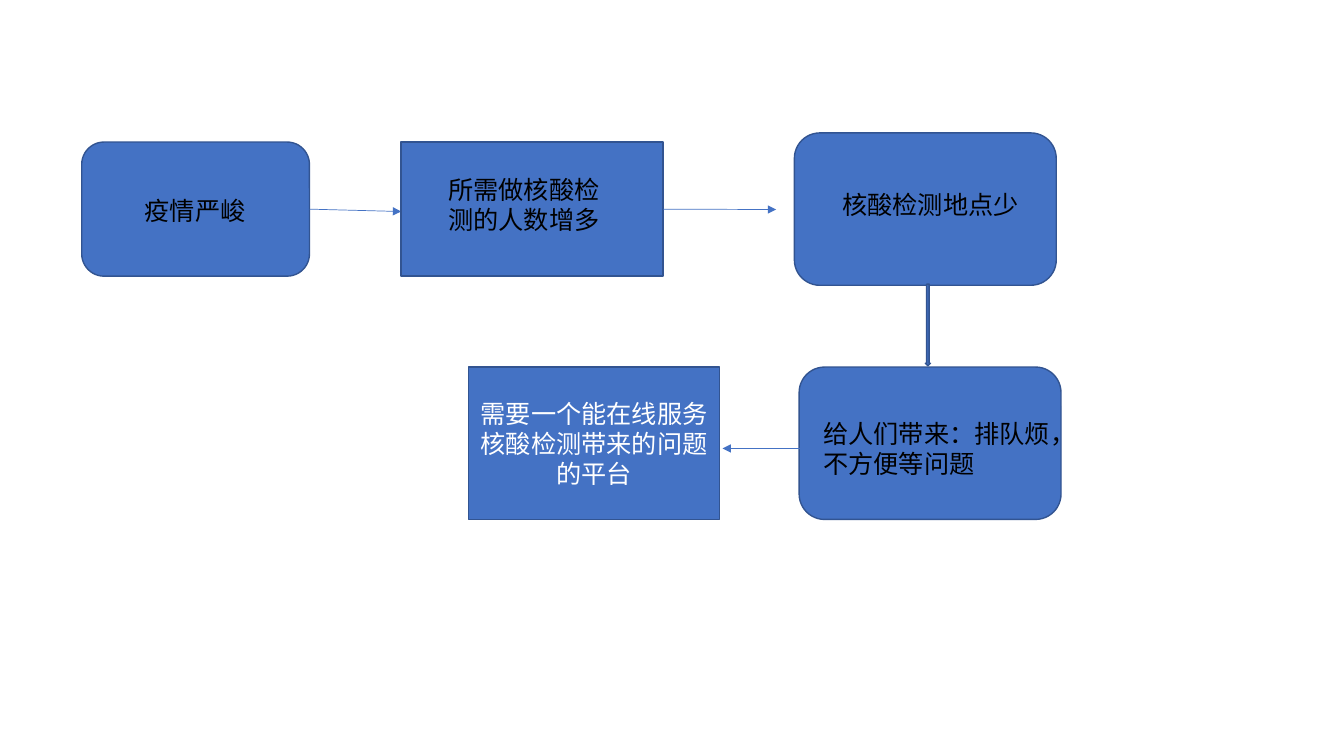
from dataclasses import dataclass

from lxml import etree
from pptx import Presentation
from pptx.dml.color import RGBColor
from pptx.enum.shapes import MSO_CONNECTOR, MSO_SHAPE
from pptx.enum.text import MSO_ANCHOR, PP_ALIGN
from pptx.oxml.ns import qn
from pptx.util import Cm, Pt

RECT = MSO_SHAPE.RECTANGLE
ROUND = MSO_SHAPE.ROUNDED_RECTANGLE
DOWN = MSO_SHAPE.DOWN_ARROW
STRAIGHT = MSO_CONNECTOR.STRAIGHT
MIDDLE = MSO_ANCHOR.MIDDLE
LEFT, CENTER = PP_ALIGN.LEFT, PP_ALIGN.CENTER
RIGHT_SIDE = 3


@dataclass(frozen=True)
class Theme:
    fill: RGBColor = RGBColor(0x44, 0x72, 0xC4)
    edge: RGBColor = RGBColor(0x32, 0x54, 0x91)
    dark: RGBColor = RGBColor(0, 0, 0)
    light: RGBColor = RGBColor(255, 255, 255)
    font: str = "Noto Sans CJK SC"
    size: Pt = Pt(18)
    border: Pt = Pt(1)
    arrow: Pt = Pt(0.5)


class Flow:
    def __init__(self, slide, theme):
        self.shapes = slide.shapes
        self.theme = theme

    def set_text(self, frame, text, color, align):
        frame.word_wrap = True
        para = frame.paragraphs[0]
        para.text = text
        para.alignment = align
        font = para.font
        font.size = self.theme.size
        font.color.rgb = color
        font.name = self.theme.font
        props = para._p.pPr.find(qn("a:defRPr"))
        etree.SubElement(props, qn("a:ea"), typeface=self.theme.font)

    def box(self, kind, left, top, width, height):
        shape = self.shapes.add_shape(
            kind, Cm(left), Cm(top), Cm(width), Cm(height))
        shape.shadow.inherit = False
        shape.fill.solid()
        shape.fill.fore_color.rgb = self.theme.fill
        shape.line.color.rgb = self.theme.edge
        shape.line.width = self.theme.border
        return shape

    def label(self, text, left, top, width, height=1.8):
        frame = self.shapes.add_textbox(
            Cm(left), Cm(top), Cm(width), Cm(height)).text_frame
        self.set_text(frame, text, self.theme.dark, LEFT)

    def arrow(self, start, end, source=None):
        """Draw an arrow; a source box fixes its start to the right side."""
        line = self.shapes.add_connector(
            STRAIGHT, *(Cm(value) for value in start + end))
        if source is not None:
            line.begin_connect(source, RIGHT_SIDE)
        line.line.color.rgb = self.theme.fill
        line.line.width = self.theme.arrow
        props = line._element.spPr
        etree.SubElement(props.find(qn("a:ln")), qn("a:tailEnd"),
                         type="triangle")
        etree.SubElement(props, qn("a:effectLst"))


def main():
    deck = Presentation()
    deck.slide_width, deck.slide_height = Cm(33.87), Cm(19.05)
    theme = Theme()
    flow = Flow(deck.slides.add_slide(deck.slide_layouts[6]), theme)

    cause = flow.box(ROUND, 2.06, 3.58, 5.74, 3.38)
    flow.label("疫情严峻", 3.4, 4.8, 3.76)
    flow.arrow((7.8, 5.27), (10.11, 5.33), cause)

    demand = flow.box(RECT, 10.11, 3.58, 6.6, 3.38)
    flow.label("所需做核酸检测的人数增多", 11.05, 4.27, 4.7, 2.57)
    flow.arrow((16.71, 5.27), (19.56, 5.28), demand)

    flow.box(ROUND, 20.02, 3.35, 6.6, 3.84)
    flow.label("核酸检测地点少", 20.98, 4.65, 5.13)
    flow.box(DOWN, 23.32, 7.16, 0.13, 2.06)

    flow.box(ROUND, 20.14, 9.25, 6.6, 3.84)
    flow.label("给人们带来：排队烦，不方便等问题", 20.5, 10.41, 7.29)
    flow.arrow((20.5, 11.3), (18.21, 11.3))

    goal = flow.box(RECT, 11.81, 9.25, 6.32, 3.84)
    goal.text_frame.vertical_anchor = MIDDLE
    flow.set_text(goal.text_frame, "需要一个能在线服务核酸检测带来的问题的平台",
                  theme.light, CENTER)

    deck.save("out.pptx")


if __name__ == "__main__":
    main()
